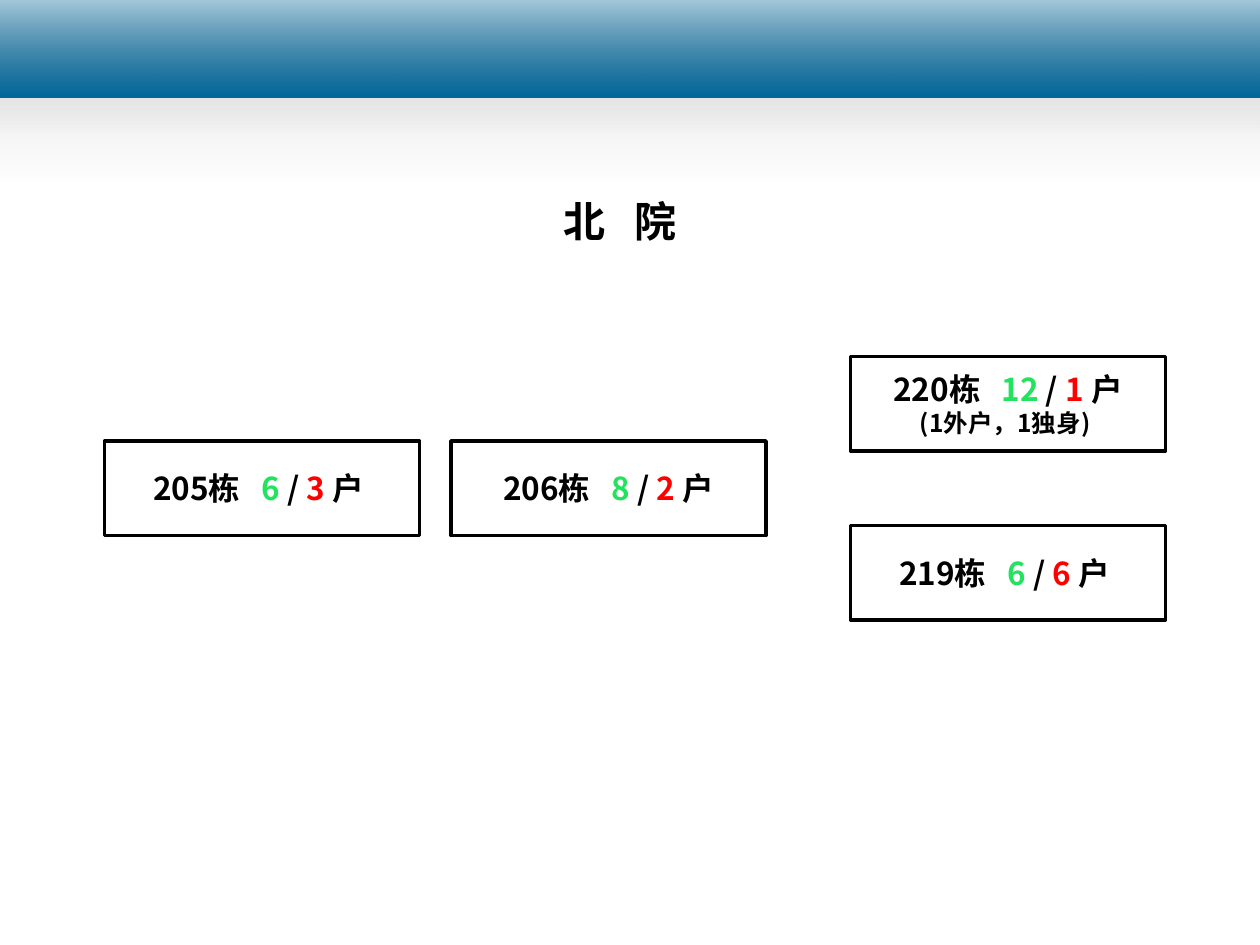
from typing import NamedTuple

from lxml import etree
from pptx import Presentation
from pptx.dml.color import RGBColor
from pptx.enum import shapes, text
from pptx.oxml.ns import qn
from pptx.util import Inches, Pt

FONT = "Noto Sans CJK SC"
BLACK, WHITE, GREEN, RED = "000000", "FFFFFF", "21E35D", "FF0000"


class Stop(NamedTuple):
    color: str
    opacity: int = 100


class Band(NamedTuple):
    height: float
    top: Stop
    bottom: Stop


class Building(NamedTuple):
    left: float
    top: float
    name: str
    green_count: str
    red_count: str
    unit: str = "户 "
    note: str = ""


SHEEN = (Stop(WHITE, 65), Stop("B6B6B6", 0))
BANDS = [
    Band(1.05, *SHEEN),
    Band(1.05, *SHEEN),
    Band(1.45, *SHEEN),
    Band(0.78, Stop("006699"), Stop("006597")),
    Band(0.78, *SHEEN),
]
BUILDINGS = [
    Building(6.75, 4.17, "219栋", "6", "6"),
    Building(6.75, 2.83, "220栋", "12", "1", "户", "(1外户，1独身) "),
    Building(3.58, 3.5, "206栋", "8", "2", "户"),
    Building(0.83, 3.5, "205栋", "6", "3"),
]


def rgb(color: str) -> RGBColor:
    return RGBColor.from_string(color)


def add_run(paragraph, content: str, *, size: float = 18, color: str = BLACK,
            spacing: float = 0) -> None:
    """Append bold text; spacing is extra points after each character."""
    run = paragraph.add_run()
    run.text = content
    font = run.font
    font.size, font.bold = Pt(size), True
    font.color.rgb = rgb(color)
    font.name = FONT
    properties = run._r.get_or_add_rPr()
    etree.SubElement(properties, qn("a:ea"), typeface=FONT)
    if spacing:
        properties.set("spc", str(round(spacing * 100)))


def add_rectangle(slide, left: float, top: float, width: float, height: float):
    shape = slide.shapes.add_shape(
        shapes.MSO_SHAPE.RECTANGLE,
        Inches(left), Inches(top), Inches(width), Inches(height))
    shape.shadow.inherit = False
    return shape


def add_band(slide, band: Band) -> None:
    shape = add_rectangle(slide, 0, 0, 10, band.height)
    shape.line.fill.background()
    shape.fill.gradient()
    shape.fill.gradient_angle = 270
    stops = (band.top, band.bottom)
    for gradient_stop, stop in zip(shape.fill.gradient_stops, stops):
        gradient_stop.color.rgb = rgb(stop.color)
    for element, stop in zip(shape._element.spPr.iter(qn("a:srgbClr")), stops):
        if stop.opacity < 100:
            etree.SubElement(element, qn("a:alpha"), val=str(stop.opacity * 1000))


def add_building(slide, building: Building) -> None:
    shape = add_rectangle(slide, building.left, building.top, 2.5, 0.75)
    shape.fill.solid()
    shape.fill.fore_color.rgb = rgb(WHITE)
    shape.line.color.rgb = rgb(BLACK)
    shape.line.width = Pt(2)
    frame = shape.text_frame
    frame.vertical_anchor = text.MSO_ANCHOR.MIDDLE
    paragraph = frame.paragraphs[0]
    paragraph.alignment = text.PP_ALIGN.CENTER
    add_run(paragraph, building.name)
    add_run(paragraph, " ", spacing=8)
    add_run(paragraph, building.green_count + " ", color=GREEN)
    add_run(paragraph, "/ ")
    add_run(paragraph, building.red_count + " ", color=RED)
    add_run(paragraph, building.unit)
    if building.note:
        paragraph = frame.add_paragraph()
        paragraph.alignment = text.PP_ALIGN.CENTER
        add_run(paragraph, building.note, size=14)


def format_title(title) -> None:
    title.left, title.top = Inches(4.08), Inches(1.5)
    title.width, title.height = Inches(1.68), Inches(0.5)
    frame = title.text_frame
    frame.word_wrap = True
    frame.auto_size = text.MSO_AUTO_SIZE.SHAPE_TO_FIT_TEXT
    frame.vertical_anchor = text.MSO_ANCHOR.TOP
    paragraph = frame.paragraphs[0]
    paragraph.alignment = text.PP_ALIGN.CENTER
    add_run(paragraph, "北", size=24)
    add_run(paragraph, " ", size=24, spacing=10.8)
    add_run(paragraph, "院", size=24)


def main() -> None:
    presentation = Presentation()
    presentation.slide_width, presentation.slide_height = Inches(10), Inches(7.5)
    slide = presentation.slides.add_slide(presentation.slide_layouts[5])
    for band in BANDS:
        add_band(slide, band)
    for building in BUILDINGS:
        add_building(slide, building)
    format_title(slide.shapes.title)
    presentation.save("out.pptx")


if __name__ == "__main__":
    main()
